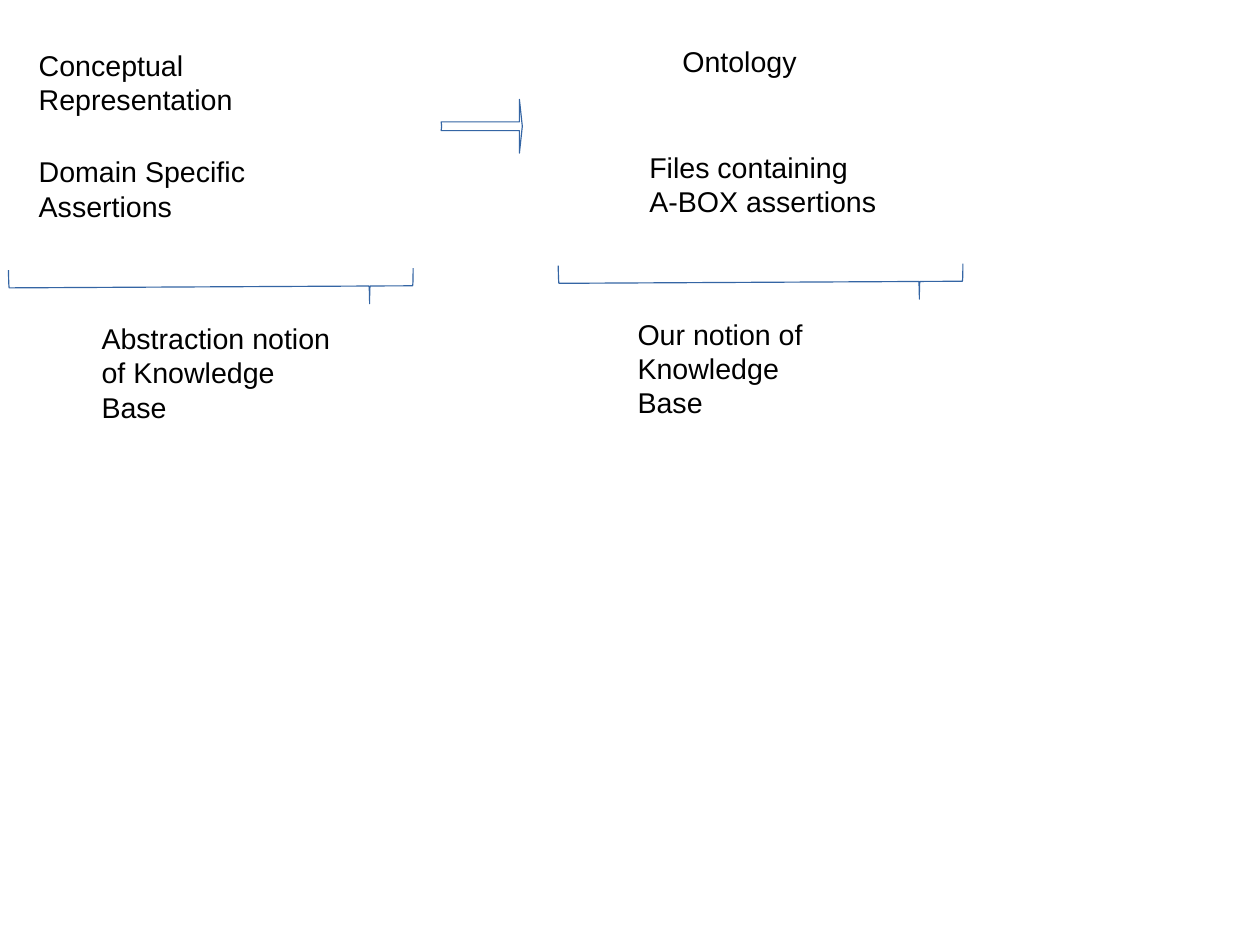
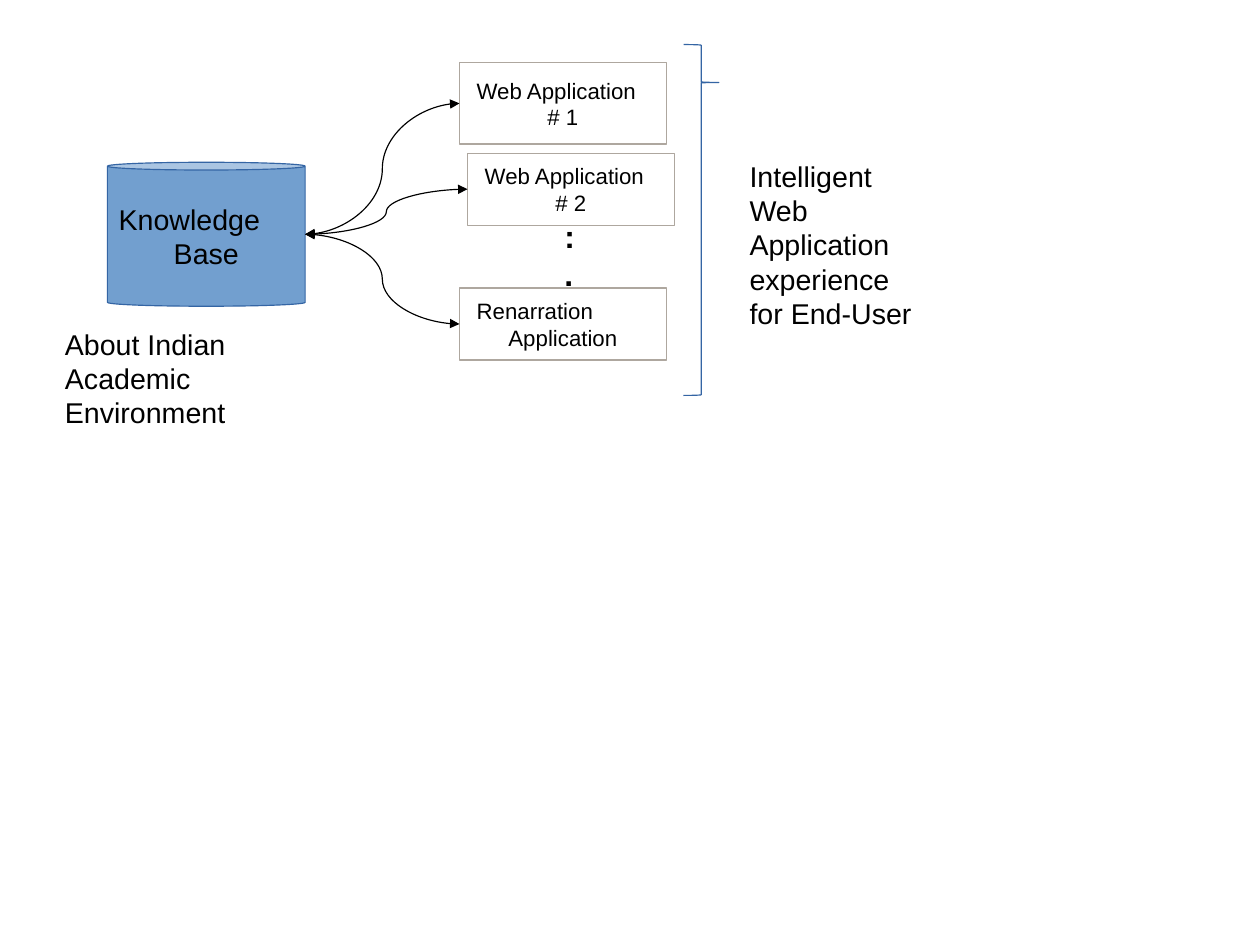
from lxml import etree
from pptx import Presentation
from pptx.dml.color import RGBColor
from pptx.enum import shapes, text
from pptx.oxml import ns
from pptx.util import Inches, Pt

BLACK = RGBColor(0x00, 0x00, 0x00)
WHITE = RGBColor(0xFF, 0xFF, 0xFF)
OUTLINE_BLUE = RGBColor(0x34, 0x65, 0xA4)
CAN_BLUE = RGBColor(0x72, 0x9F, 0xCF)
BOX_GREY = RGBColor(0xAE, 0xA7, 0x9F)
FONT = "Arial"
LINE_WIDTH = Pt(0.75)
CM_PER_INCH = 2.54
INSET = 0.1
BRACE_SIZE = (0.31, 3.54)
SHAPE = shapes.MSO_SHAPE


def write(frame, lines, size=18, bold=False, left=INSET, right=INSET, top=0.05):
    """Write one paragraph per line, with the shared font and insets."""
    frame.word_wrap = True
    frame.margin_left, frame.margin_right = Inches(left), Inches(right)
    frame.margin_top, frame.margin_bottom = Inches(top), Inches(0.05)
    frame.text = "\n".join(lines)
    for paragraph in frame.paragraphs:
        font = paragraph.font
        font.name, font.size, font.bold = FONT, Pt(size), bold
        font.color.rgb = BLACK


def add_label(slide, box, lines, **style):
    """Place free text in a box of left, top, width, height."""
    label = slide.shapes.add_textbox(*map(Inches, box))
    write(label.text_frame, lines, **style)


def add_outline(slide, preset, box, adjustments=(), fill=None, line=OUTLINE_BLUE):
    """Place a thinly outlined preset shape, unfilled unless a fill is given."""
    outline = slide.shapes.add_shape(preset, *map(Inches, box))
    outline.shadow.inherit = False
    for index, value in enumerate(adjustments):
        outline.adjustments[index] = value
    if fill is None:
        outline.fill.background()
    else:
        outline.fill.solid()
        outline.fill.fore_color.rgb = fill
    outline.line.color.rgb = line
    outline.line.width = LINE_WIDTH
    return outline


def add_brace(slide, box, rotation=0):
    """Place the flat right brace that groups a set of parts."""
    brace = add_outline(slide, SHAPE.RIGHT_BRACE, box, (0.018, 0.108))
    brace.rotation = rotation


def add_node(slide, preset, box, lines, size, side=INSET, **look):
    """Place a filled node: first line at the left, second line centred."""
    node = add_outline(slide, preset, box, **look)
    frame = node.text_frame
    write(frame, lines, size, left=side, right=side)
    frame.vertical_anchor = text.MSO_ANCHOR.MIDDLE
    first, second = frame.paragraphs
    first.alignment = text.PP_ALIGN.LEFT
    second.alignment = text.PP_ALIGN.CENTER


def add_link(slide, start, end):
    """Draw a curved link with arrowheads at both ends."""
    link = slide.shapes.add_connector(
        shapes.MSO_CONNECTOR.CURVE, *map(Inches, (*start, *end)))
    link.line.color.rgb = BLACK
    link.line.width = LINE_WIDTH
    properties = link.element.spPr
    stroke = properties.find(ns.qn("a:ln"))
    for tip in ("a:headEnd", "a:tailEnd"):
        etree.SubElement(stroke, ns.qn(tip)).set("type", "triangle")
    etree.SubElement(properties, ns.qn("a:effectLst"))


def add_notion(slide, left, top, parts, brace_left, caption, caption_left, caption_width):
    """Stack two parts over a brace and its caption; parts are (words, height, indent)."""
    for row, (words, height, indent) in enumerate(parts):
        add_label(slide, (left, top + 0.93 * row, 3.22, height), [words],
                  left=INSET + indent, top=0.34)
    add_brace(slide, (left + brace_left, top + 0.66, *BRACE_SIZE), 89.7)
    add_label(slide, (left + caption_left, top + 2.68, caption_width, 0.66), [caption])


def build_notions(slide):
    """Compare the abstract notion of a knowledge base with ours."""
    add_notion(slide, 0.24, 0.08,
               [("Conceptual Representation", 0.94, 0),
                ("Domain Specific Assertions", 0.94, 0)],
               1.45, "Abstraction notion\vof Knowledge Base", 0.55, 2.34)
    add_notion(slide, 5.04, 0.04,
               [("Ontology", 0.94, 0.83),
                ("Files containing\vA-BOX assertions", 1.22, 0.54)],
               1.46, "Our notion of\vKnowledge Base", 0.44, 2.06)
    add_outline(slide, SHAPE.NOTCHED_RIGHT_ARROW, (3.86, 0.87, 0.71, 0.47), (0.162, 0.054))


def add_knowledge_base(slide, left, top):
    """Place the knowledge base with its caption; return its right middle."""
    width, height = 1.73, 1.26
    add_node(slide, SHAPE.CAN, (left, top, width, height), ["Knowledge", "Base"], 18,
             adjustments=(0.054,), fill=CAN_BLUE)
    add_label(slide, (left - 0.47, top + 1.39, 2.74, 0.66),
              ["About Indian Academic\vEnvironment"])
    return left + width, top + height / 2


def add_applications(slide, left, top, source):
    """Place the applications and link each one to the source point."""
    applications = [
        (0, 0, 0.71, ["Web Application", "# 1"]),
        (0.07, 0.79, 0.63, ["Web Application", "# 2"]),
        (0, 1.97, 0.63, ["Renarration", "Application"]),
    ]
    for shift, drop, height, lines in applications:
        x, y = left + shift, top + drop
        add_node(slide, SHAPE.RECTANGLE, (x, y, 1.81, height), lines, 14, side=0.15,
                 fill=WHITE, line=BOX_GREY)
        add_link(slide, source, (x, y + height / 2))
    add_label(slide, (left + 0.82, top + 1.3, 0.29, 0.73), [":", "."], size=20, bold=True)


def build_architecture(slide):
    """Show the knowledge base serving applications to the end user."""
    source = add_knowledge_base(slide, 0.94, 1.42)
    add_applications(slide, 4.02, 0.55, source)
    add_brace(slide, (5.98, 0.39, 0.31, 3.07))
    add_label(slide, (6.46, 1.34, 1.97, 1.22),
              ["Intelligent", "Web Application", "experience", "for End-User"])


deck = Presentation()
deck.slide_width = Inches(28 / CM_PER_INCH)
deck.slide_height = Inches(21 / CM_PER_INCH)
for build in (build_notions, build_architecture):
    build(deck.slides.add_slide(deck.slide_layouts[6]))
deck.save("out.pptx")
